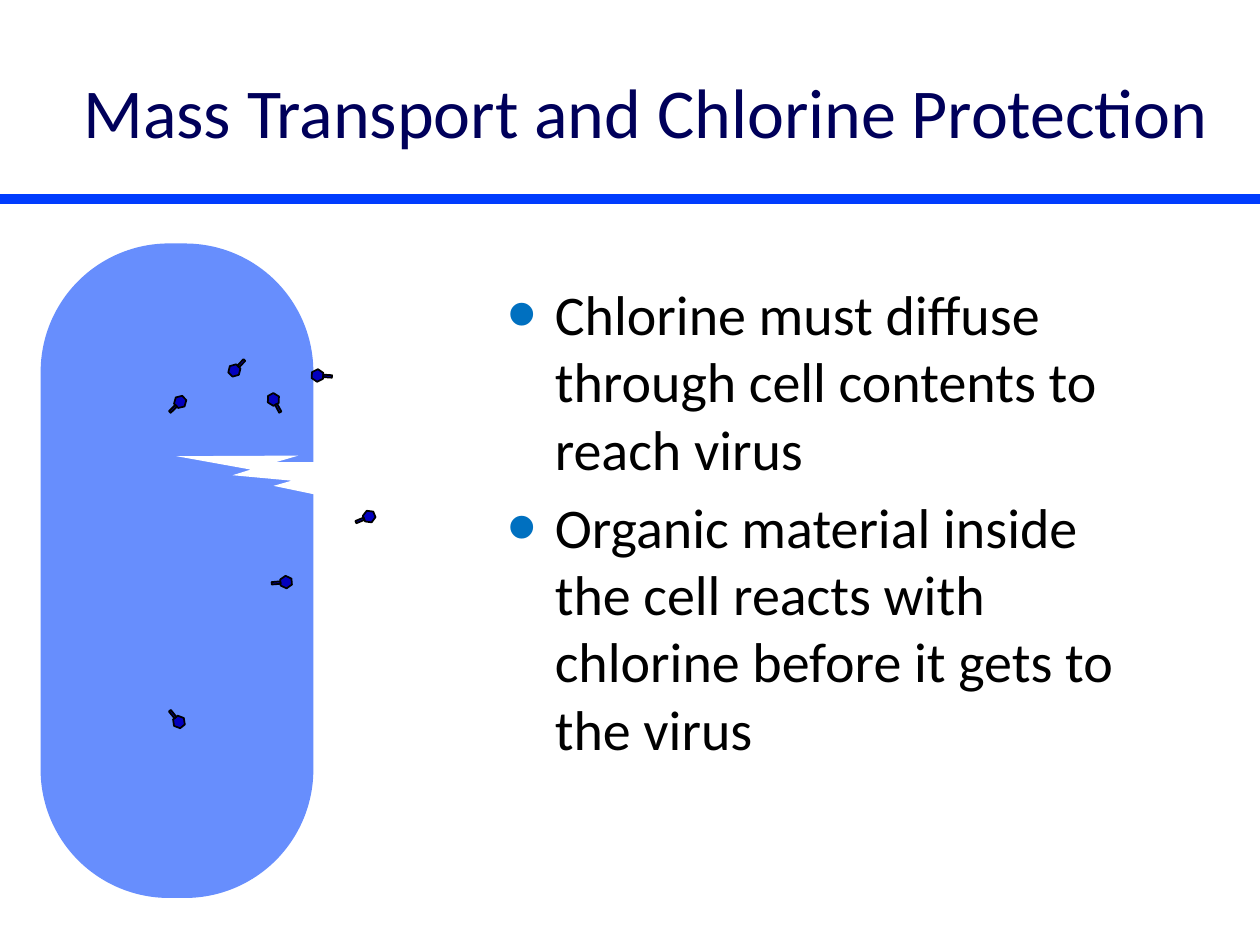
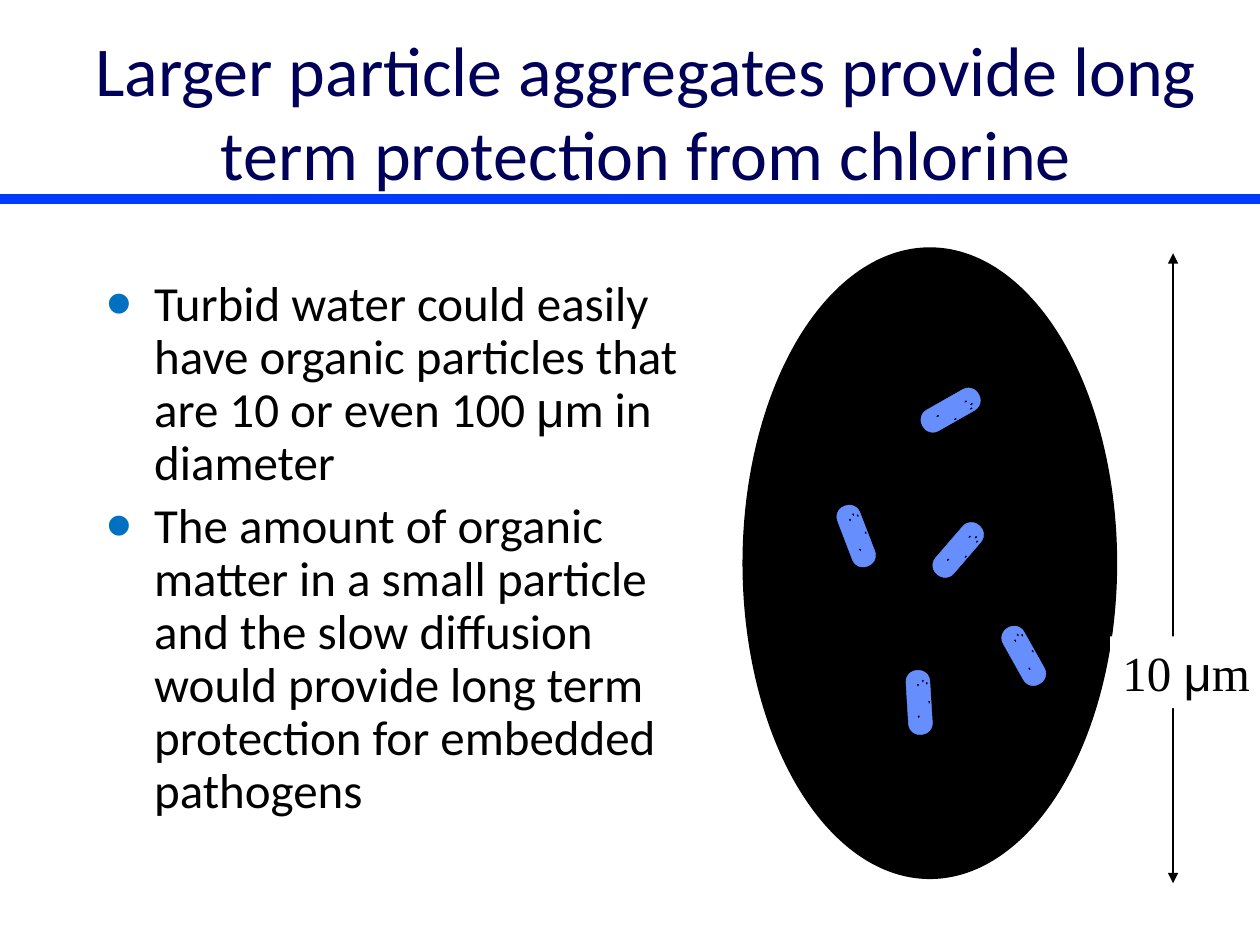
from dataclasses import dataclass
from math import cos, radians, sin

from lxml.etree import SubElement
from pptx import Presentation
from pptx.dml.color import RGBColor
from pptx.enum.shapes import MSO_CONNECTOR, MSO_SHAPE as SHAPE
from pptx.enum.text import MSO_ANCHOR, MSO_AUTO_SIZE as FIT, PP_ALIGN
from pptx.oxml.ns import qn
from pptx.util import Inches, Pt

# Grid of 100 columns by 75 rows; every length below counts its square cells
WIDTH, HEIGHT = Inches(10), Inches(7.5)
COLS, ROWS = 100, 75
UNIT = WIDTH / COLS

COLORS = {
    "title": "00005A", "text": "000000", "bullet": "0070C0", "band": "003CFE",
    "cell": "678EFD", "virus": "0300BE", "outline": "000000", "white": "FFFFFF",
}
FONTS = {"main": "Calibri", "greek": "Arial", "label": "Times New Roman"}
SMALL = 0.1  # size of a cell in the aggregate against the large one


@dataclass
class Box:
    left: float
    top: float
    width: float
    height: float

    def emu(self) -> list[int]:
        return [grid(v) for v in (self.left, self.top, self.width, self.height)]


@dataclass
class Virus:
    x: float
    y: float
    angle: float


@dataclass
class Cell:
    x: float
    y: float
    angle: float


TITLE_BOX = Box(5, 2.5, 92.5, 12.5)
VIRUSES = [
    Virus(14.3, 31.9, 46), Virus(14.2, 57.3, 141.3), Virus(21.7, 31.7, 331.6),
    Virus(22.7, 46.2, 85.3), Virus(29.3, 41, 67.4), Virus(18.6, 29.4, 224),
    Virus(25.2, 29.8, 273.8),
]
CELLS = [
    Cell(81.25, 52.05, 330.7), Cell(75.45, 32.55, 60.4), Cell(67.95, 42.55, 339),
    Cell(76.05, 43.65, 40.8), Cell(72.95, 55.75, 356.5),
]
# Virus offsets from the middle of an upright small cell
CELL_VIRUSES = [(0, -1.4), (-0.1, 1.1), (0.7, -1.5), (0.8, 0), (0.4, -1.7)]


def grid(cells: float) -> int:
    return round(cells * UNIT)


def rgb(name: str) -> RGBColor:
    return RGBColor.from_string(COLORS[name])


def apply(target, formats: dict) -> None:
    for name, value in formats.items():
        setattr(target, name, value)


def turn(x: float, y: float, angle: float) -> tuple[float, float]:
    a = radians(angle)
    return x * cos(a) - y * sin(a), x * sin(a) + y * cos(a)


def centered(x: float, y: float, width: float, height: float) -> Box:
    return Box(x - width / 2, y - height / 2, width, height)


def add_shape(shapes, kind, box: Box, fill: str, line: str = "", weight: float = 1,
              angle: float = 0, adjust: float | None = None):
    s = shapes.add_shape(kind, *box.emu())
    s.shadow.inherit = False
    s.rotation = angle
    s.fill.solid()
    s.fill.fore_color.rgb = rgb(fill)
    if line:
        s.line.color.rgb = rgb(line)
        s.line.width = Pt(weight)
    else:
        s.line.fill.background()
    if adjust is not None:
        s.adjustments[0] = adjust
    return s


def add_line(shapes, start: tuple, end: tuple, color: str, weight: float,
             arrows: bool = False) -> None:
    s = shapes.add_connector(MSO_CONNECTOR.STRAIGHT, *map(grid, start + end))
    s.line.color.rgb = rgb(color)
    s.line.width = Pt(weight)
    if arrows:
        for tag in ("a:headEnd", "a:tailEnd"):
            SubElement(s.line._ln, qn(tag), type="triangle")
    SubElement(s._element.spPr, qn("a:effectLst"))


def add_runs(p, text: str, font: str, size: float, color: str) -> None:
    """Write the text, giving each μ its own font."""
    for part in text.replace("μ", "|μ|").split("|"):
        r = p.add_run()
        r.text = part
        name = FONTS["greek" if part == "μ" else font]
        apply(r.font, {"name": name, "size": Pt(size)})
        r.font.color.rgb = rgb(color)


def add_bullet(p) -> None:
    pPr = p._p.get_or_add_pPr()
    indent = grid(3.75)
    pPr.set("marL", str(indent))
    pPr.set("indent", str(-indent))
    color = SubElement(pPr, qn("a:buClr"))
    SubElement(color, qn("a:srgbClr"), val=COLORS["bullet"])
    SubElement(pPr, qn("a:buSzPct"), val="150000")
    SubElement(pPr, qn("a:buFont"), typeface=FONTS["greek"])
    SubElement(pPr, qn("a:buChar"), char="•")


def add_body(slide, box: Box, items: list[str], size: float, spacing: float) -> None:
    tf = slide.shapes.add_textbox(*box.emu()).text_frame
    tf.word_wrap = True
    for i, item in enumerate(items):
        p = tf.add_paragraph() if i else tf.paragraphs[0]
        apply(p, {"line_spacing": spacing, "space_before": Pt(size * 0.2)})
        add_bullet(p)
        add_runs(p, item, "main", size, "text")


def add_base(prs, title: str):
    slide = prs.slides.add_slide(prs.slide_layouts[6])
    add_line(slide.shapes, (0, 15.8), (COLS, 15.8), "band", 6)
    tf = slide.shapes.add_textbox(*TITLE_BOX.emu()).text_frame
    apply(tf, {"word_wrap": True, "vertical_anchor": MSO_ANCHOR.MIDDLE})
    p = tf.paragraphs[0]
    p.alignment = PP_ALIGN.CENTER
    add_runs(p, title, "main", 40, "title")
    return slide


def add_virus(shapes, virus: Virus, scale: float = 1, weight: float = 1) -> None:
    """Hexagonal head with a tail that points along the virus's angle."""
    group = shapes.add_group_shape().shapes
    dx, dy = turn(0, 0.8 * scale, virus.angle)
    head = centered(virus.x, virus.y, scale, 0.9 * scale)
    tail = centered(virus.x + dx, virus.y + dy, 0.2 * scale, 0.7 * scale)
    style = {"fill": "virus", "line": "outline", "weight": weight, "angle": virus.angle}
    add_shape(group, SHAPE.HEXAGON, head, adjust=0.289, **style)
    add_shape(group, SHAPE.RECTANGLE, tail, **style)


def add_cell(shapes, box: Box, weight: float, angle: float = 0) -> None:
    add_shape(shapes, SHAPE.ROUNDED_RECTANGLE, box, "cell", "cell", weight, angle, 0.468)


def add_small_cell(shapes, cell: Cell) -> None:
    group = shapes.add_group_shape().shapes
    add_cell(group, centered(cell.x, cell.y, 1.9, 5.1), 0.25, cell.angle)
    for x, y in CELL_VIRUSES:
        dx, dy = turn(x, y, cell.angle)
        add_virus(group, Virus(cell.x + dx, cell.y + dy, cell.angle), SMALL, 0.25)


def build_transport(prs) -> None:
    slide = add_base(prs, "Mass Transport and Chlorine Protection")
    add_body(slide, Box(39.3, 21.7, 53.2, 45), [
        "Chlorine must diffuse through cell contents to reach virus",
        "Organic material inside the cell reacts with chlorine before it gets to the virus",
    ], 32, 1.0)
    # Broken cell with the viruses in and around it
    add_cell(slide.shapes, Box(4.2, 20.3, 19.7, 50), 14)
    for virus in VIRUSES:
        add_virus(slide.shapes, virus)
    add_shape(slide.shapes, SHAPE.LIGHTNING_BOLT, Box(14.3, 34.7, 17.8, 5), "white",
              angle=170.5)


def build_aggregate(prs) -> None:
    slide = add_base(
        prs, "Larger particle aggregates provide long term protection from chlorine")
    add_body(slide, Box(7.5, 21.7, 50.1, 45), [
        "Turbid water could easily have organic particles that are 10 or even 100 μm in diameter",
        "The amount of organic matter in a small particle and the slow diffusion "
        "would provide long term protection for embedded pathogens",
    ], 28, 0.9)
    # Aggregate with embedded cells
    add_shape(slide.shapes, SHAPE.OVAL, Box(59, 19.7, 29.6, 50), "outline", "outline")
    for cell in CELLS:
        add_small_cell(slide.shapes, cell)
    # Size mark
    add_line(slide.shapes, (93.1, 20.1), (93.1, 70.1), "outline", 1, arrows=True)
    s = add_shape(slide.shapes, SHAPE.RECTANGLE, Box(88.1, 50.5, 12.1, 5.7), "white")
    tf = s.text_frame
    apply(tf, {"word_wrap": False, "auto_size": FIT.SHAPE_TO_FIT_TEXT,
               "vertical_anchor": MSO_ANCHOR.TOP})
    p = tf.paragraphs[0]
    p.alignment = PP_ALIGN.LEFT
    add_runs(p, "10 μm", "label", 28, "text")


def main() -> None:
    prs = Presentation()
    apply(prs, {"slide_width": WIDTH, "slide_height": HEIGHT})
    build_transport(prs)
    build_aggregate(prs)
    prs.save("out.pptx")


if __name__ == "__main__":
    main()
